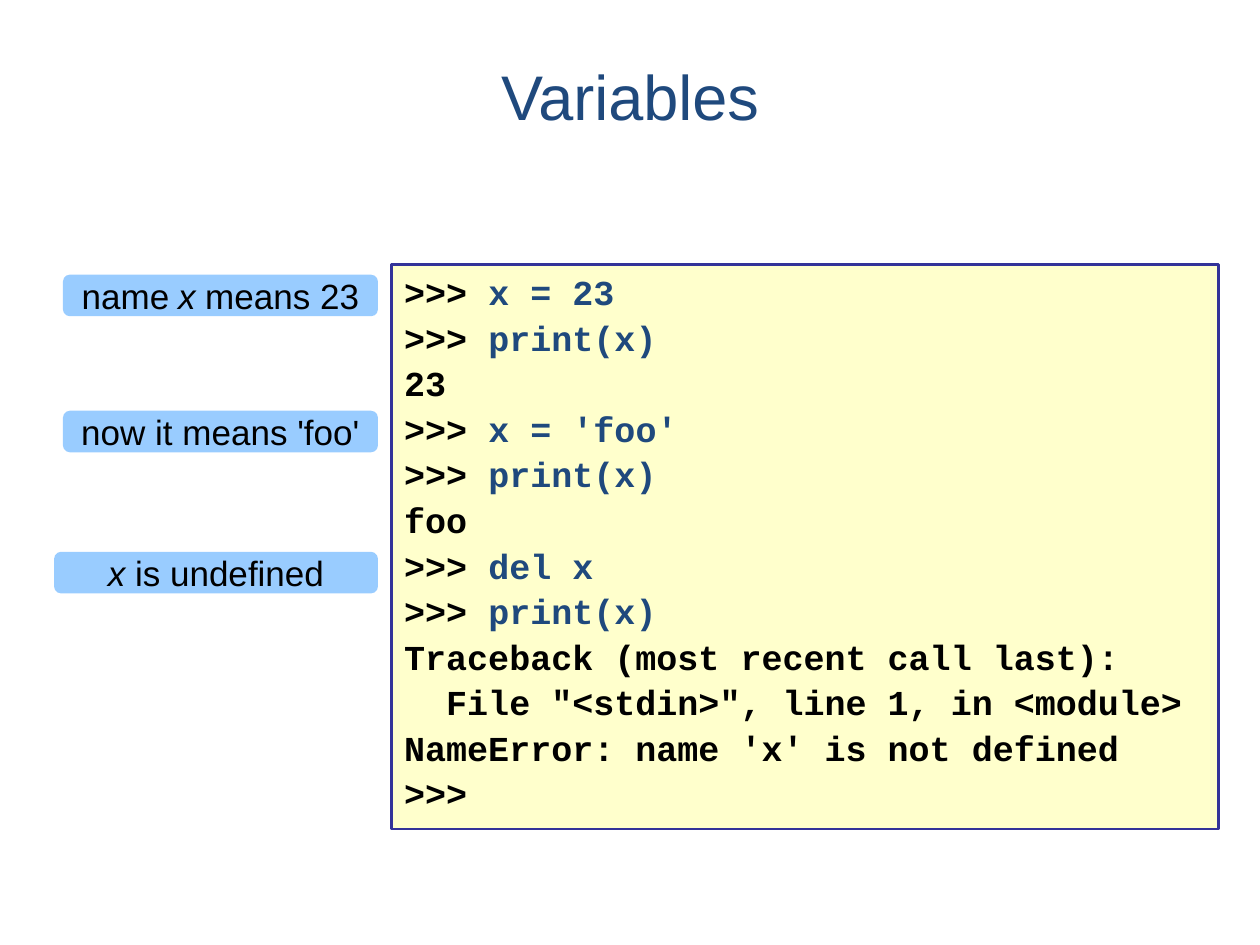
from typing import NamedTuple

from pptx import Presentation
from pptx.dml.color import RGBColor
from pptx.enum.shapes import MSO_SHAPE
from pptx.enum.text import MSO_ANCHOR, PP_ALIGN
from pptx.util import Inches, Pt

WIDE, HIGH = Inches(10), Inches(7.5)
HUES = {"navy": "1F497D", "ink": "000000", "cream": "FFFFCC",
        "edge": "333399", "sky": "99CCFF"}
PROMPT = ">>> "


class Box(NamedTuple):
    """Percent shares of the slide's width and height."""
    left: float
    top: float
    width: float
    height: float


class Run(NamedTuple):
    text: str
    hue: str = "ink"
    size: int = 20
    font: str = "Arial"
    bold: bool = False
    slant: bool = False


class Label(NamedTuple):
    box: Box
    runs: list[Run]


def code(text: str, hue: str = "ink") -> Run:
    return Run(text, hue, font="Courier New", bold=True)


def typed(text: str) -> list[Run]:
    return [code(PROMPT), code(text, "navy")]


TITLE = Box(6.7, 5.07, 86.6, 10.13)
SHELL = Box(31.1, 28, 65.6, 59.73)
LINES = [
    typed("x = 23"),
    typed("print(x)"),
    [code("23")],
    typed("x = 'foo'"),
    typed("print(x)"),
    [code("foo")],
    typed("del x"),
    typed("print(x)"),
    [code("Traceback (most recent call last):")],
    [code('  File "<stdin>", line 1, in <module>')],
    [code("NameError: name 'x' is not defined")],
    [code(PROMPT.strip())],
]
LABELS = [
    Label(Box(5, 29.07, 25, 4.4),
          [Run("name"), Run(" ", size=18), Run("x", slant=True), Run(" means 23")]),
    Label(Box(5, 43.47, 25, 4.4), [Run("now it means 'foo'")]),
    Label(Box(4.3, 58.4, 25.7, 4.4), [Run("x", slant=True), Run(" is undefined")]),
]


def color(hue: str) -> RGBColor:
    return RGBColor.from_string(HUES[hue])


def place(box: Box) -> list[int]:
    return [int(share * side / 100) for share, side in zip(box, (WIDE, HIGH) * 2)]


def write(shape, lines: list[list[Run]], align: PP_ALIGN, anchor: MSO_ANCHOR) -> None:
    frame = shape.text_frame
    frame.word_wrap = True
    frame.vertical_anchor = anchor
    for row, runs in enumerate(lines):
        para = frame.add_paragraph() if row else frame.paragraphs[0]
        para.alignment = align
        para.space_before = Pt(2 if row else 0)
        for run in runs:
            part = para.add_run()
            part.text = run.text
            font = part.font
            font.name, font.size = run.font, Pt(run.size)
            font.bold, font.italic = run.bold, run.slant
            font.color.rgb = color(run.hue)


def draw(slide, kind: MSO_SHAPE, box: Box, fill: str, edge: str | None = None):
    shape = slide.shapes.add_shape(kind, *place(box))
    shape.shadow.inherit = False
    shape.fill.solid()
    shape.fill.fore_color.rgb = color(fill)
    if edge:
        shape.line.color.rgb = color(edge)
        shape.line.width = Pt(1.5)
    else:
        shape.line.fill.background()
    return shape


def main() -> None:
    deck = Presentation()
    deck.slide_width, deck.slide_height = WIDE, HIGH
    slide = deck.slides.add_slide(deck.slide_layouts.get_by_name("Title Only"))

    title = slide.shapes.title
    title.left, title.top, title.width, title.height = place(TITLE)
    write(title, [[Run("Variables", "navy", 36)]], PP_ALIGN.CENTER, MSO_ANCHOR.MIDDLE)

    shell = draw(slide, MSO_SHAPE.RECTANGLE, SHELL, "cream", "edge")
    write(shell, LINES, PP_ALIGN.LEFT, MSO_ANCHOR.TOP)

    for label in LABELS:
        tag = draw(slide, MSO_SHAPE.ROUNDED_RECTANGLE, label.box, "sky")
        write(tag, [label.runs], PP_ALIGN.CENTER, MSO_ANCHOR.MIDDLE)

    deck.save("out.pptx")


if __name__ == "__main__":
    main()
